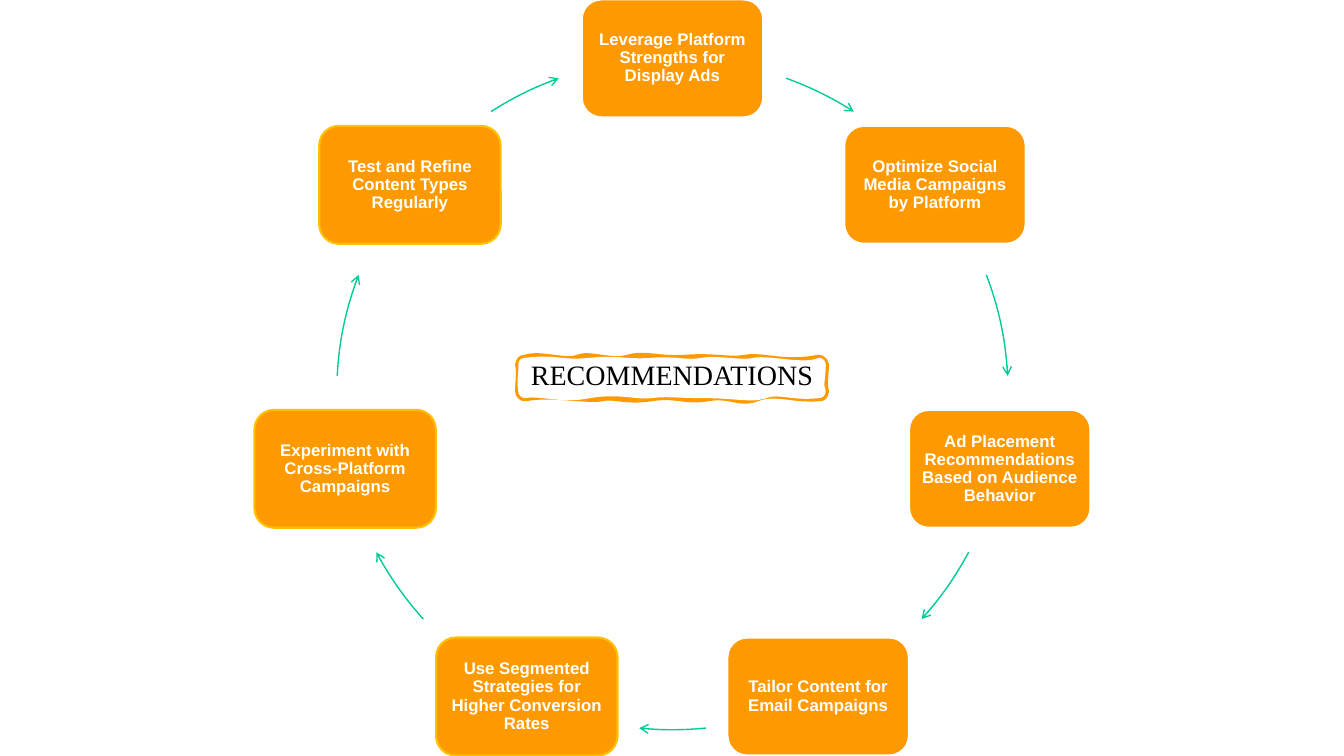
import math

from lxml import etree
from pptx import Presentation
from pptx.dml.color import RGBColor
from pptx.enum.shapes import MSO_SHAPE
from pptx.enum.text import MSO_ANCHOR, PP_ALIGN
from pptx.oxml.ns import qn
from pptx.util import Inches, Pt

ROUNDED = MSO_SHAPE.ROUNDED_RECTANGLE
ARC = MSO_SHAPE.ARC
MIDDLE = MSO_ANCHOR.MIDDLE
TOP = MSO_ANCHOR.TOP
CENTER = PP_ALIGN.CENTER

COLORS = {
    "orange": "FF9900",
    "gold": "FFC000",
    "green": "00CC99",
    "white": "FFFFFF",
    "black": "000000",
}
COLORS = {name: RGBColor.from_string(value) for name, value in COLORS.items()}

# Cycle: centre and radius in inches, angles clockwise from the top
CENTER_X, CENTER_Y, RADIUS = 6.67, 3.91, 3.33
BOX_WIDTH, BOX_HEIGHT = 1.8, 1.17

# Text, outline colour, start and end angle of the arrow that follows
STEPS = [
    ("Leverage Platform Strengths for Display Ads", "white", 19.8, 32.7),
    ("Optimize Social Media Campaigns by Platform", "white", 69.2, 86.9),
    ("Ad Placement Recommendations Based on Audience Behavior",
     "white", 118.1, 132.1),
    ("Tailor Content for Email Campaigns", "white", 174.3, 185.7),
    ("Use Segmented Strategies for Higher Conversion Rates",
     "gold", 227.9, 241.9),
    ("Experiment with Cross-Platform Campaigns", "gold", 273.1, 290.8),
    ("Test and Refine Content Types Regularly", "gold", 327.3, 340.2),
]

# Hand-drawn frame in hundredths of an inch: start point, then cubic curves
FRAME_LEFT, FRAME_TOP, FRAME_WIDTH, FRAME_HEIGHT = 5.14, 3.55, 305, 40
FRAME_OUTLINE = [
    (0, 7), (1, 2), (3, 0), (7, 0), (22, -5), (48, 5), (59, 0),
    (71, -5), (92, 5), (109, 0), (126, -5), (138, 2), (167, 0),
    (196, -2), (209, 3), (226, 0), (242, -3), (265, 7), (298, 0),
    (301, 0), (305, 4), (305, 7), (305, 16), (303, 26), (305, 33),
    (305, 37), (302, 41), (298, 40), (271, 42), (256, 33), (237, 40),
    (218, 47), (212, 36), (188, 40), (164, 44), (158, 36), (132, 40),
    (106, 44), (94, 37), (83, 40), (71, 43), (32, 35), (7, 40),
    (3, 40), (0, 37), (0, 33), (0, 21), (2, 16), (0, 7),
]
FRAME_FILL = [
    (0, 7), (0, 2), (3, 0), (7, 0), (38, -4), (41, 3), (71, 0),
    (101, -3), (107, 2), (132, 0), (157, -2), (167, 3), (182, 0),
    (196, -3), (221, 3), (234, 0), (248, -3), (284, 7), (298, 0),
    (302, 0), (305, 3), (305, 7), (305, 20), (302, 27), (305, 33),
    (305, 38), (301, 40), (298, 40), (272, 43), (258, 35), (246, 40),
    (233, 45), (214, 40), (185, 40), (156, 40), (147, 38), (132, 40),
    (117, 42), (100, 35), (71, 40), (42, 46), (23, 37), (7, 40),
    (3, 40), (0, 37), (0, 33), (-2, 22), (1, 13), (0, 7),
]


def style_text(shape, text, font_name, size, color, bold, spacing, anchor, inset_y):
    frame = shape.text_frame
    frame.word_wrap = True
    frame.vertical_anchor = anchor
    frame.margin_left = frame.margin_right = Inches(0.05)
    frame.margin_top = frame.margin_bottom = Inches(inset_y)
    frame.text = text
    paragraph = frame.paragraphs[0]
    paragraph.alignment = CENTER
    paragraph.line_spacing = spacing
    font = paragraph.runs[0].font
    font.name, font.size, font.bold = font_name, Pt(size), bold
    font.color.rgb = COLORS[color]
    return paragraph


def add_curve_path(path_list, points, **options):
    path = etree.SubElement(path_list, qn("a:path"),
                            w=str(FRAME_WIDTH), h=str(FRAME_HEIGHT), **options)
    move = etree.SubElement(path, qn("a:moveTo"))
    etree.SubElement(move, qn("a:pt"), x=str(points[0][0]), y=str(points[0][1]))
    for first in range(1, len(points), 3):
        curve = etree.SubElement(path, qn("a:cubicBezTo"))
        for x, y in points[first:first + 3]:
            etree.SubElement(curve, qn("a:pt"), x=str(x), y=str(y))
    etree.SubElement(path, qn("a:close"))


presentation = Presentation()
presentation.slide_width = Inches(13.33)
presentation.slide_height = Inches(7.5)
slide = presentation.slides.add_slide(presentation.slide_layouts[6])
shapes = slide.shapes

# Ring of boxes and arrows
for index, (text, outline, start, end) in enumerate(STEPS):
    angle = 2 * math.pi * index / len(STEPS)
    box = shapes.add_shape(
        ROUNDED,
        Inches(CENTER_X + RADIUS * math.sin(angle) - BOX_WIDTH / 2),
        Inches(CENTER_Y - RADIUS * math.cos(angle) - BOX_HEIGHT / 2),
        Inches(BOX_WIDTH), Inches(BOX_HEIGHT))
    box.shadow.inherit = False
    box.fill.solid()
    box.fill.fore_color.rgb = COLORS["orange"]
    box.line.color.rgb = COLORS[outline]
    box.line.width = Pt(1.5)
    paragraph = style_text(box, text, "Arial", 12, "white", True, 0.9, MIDDLE, 0.05)
    paragraph.space_after = Pt(4.2)

    arrow = shapes.add_shape(
        ARC, Inches(CENTER_X - RADIUS), Inches(CENTER_Y - RADIUS),
        Inches(2 * RADIUS), Inches(2 * RADIUS))
    # Arc angles run from three o'clock, in units of 0.6 per degree
    for position, degrees in enumerate((start, end)):
        arrow.adjustments[position] = (degrees - 90) % 360 * 0.6
    arrow.shadow.inherit = False
    arrow.fill.background()
    arrow.line.color.rgb = COLORS["green"]
    arrow.line.width = Pt(1)
    etree.SubElement(arrow.line._get_or_add_ln(), qn("a:tailEnd"), type="arrow")

# Title in the hand-drawn frame
builder = shapes.build_freeform(0, 0, scale=Inches(0.01))
builder.add_line_segments(
    [(FRAME_WIDTH, 0), (FRAME_WIDTH, FRAME_HEIGHT), (0, FRAME_HEIGHT)])
title = builder.convert_to_shape(Inches(FRAME_LEFT), Inches(FRAME_TOP))
path_list = title._element.spPr.find(qn("a:custGeom")).find(qn("a:pathLst"))
path_list.remove(path_list[0])
add_curve_path(path_list, FRAME_OUTLINE, fill="none")
add_curve_path(path_list, FRAME_FILL, stroke="0")
title.shadow.inherit = False
title.fill.solid()
title.fill.fore_color.rgb = COLORS["white"]
title.line.color.rgb = COLORS["orange"]
title.line.width = Pt(4.5)
style_text(title, "RECOMMENDATIONS", "Times New Roman", 20, "black", False,
           0.93, TOP, 0.03)

presentation.save("out.pptx")
